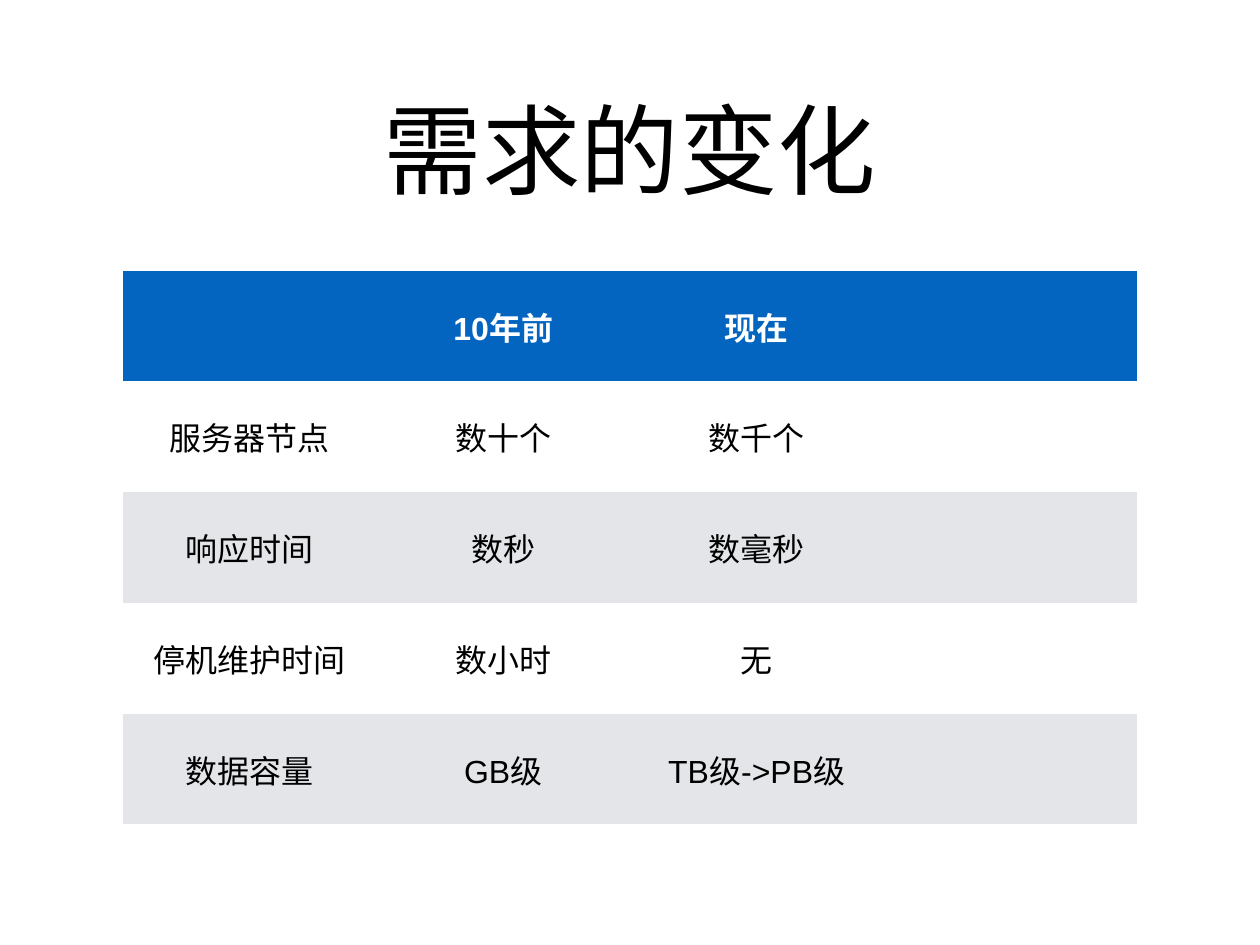
from dataclasses import dataclass

from pptx import Presentation
from pptx import util as u
from pptx.dml import color
from pptx.enum import text
from pptx.oxml import ns


@dataclass(frozen=True)
class Theme:
    """Colours, type sizes and font of the deck."""
    font: str = "Arial"
    title_size: int = 80
    cell_size: int = 26
    ink: str = "000000"
    header_ink: str = "FFFFFF"
    header_fill: str = "0365C0"
    band_fills: tuple = ("E3E5E8", "FFFFFF")
    plain_table_style: str = "{2D5ABB26-0587-4C30-8999-92F81FD0307C}"


THEME = Theme()
PAGE_SIZE = (1024, 768)
TITLE_BOX = (75, 35, 874, 170)
TABLE_BOX = (100, 220, 824, 450)
CELL_INSET = 4
TITLE = "需求的变化"
ROWS = [
    ["", "10年前", "现在", ""],
    ["服务器节点", "数十个", "数千个", ""],
    ["响应时间", "数秒", "数毫秒", ""],
    ["停机维护时间", "数小时", "无", ""],
    ["数据容量", "GB级", "TB级->PB级", ""],
]


def apply(target, values):
    """Set every attribute named in values on the target."""
    for name, value in values.items():
        setattr(target, name, value)


def insets(size):
    """Return equal margins for all four sides."""
    return {f"margin_{side}": u.Pt(size) for side in ("left", "top", "right", "bottom")}


def write(frame, words, size, ink, bold=False):
    """Put one centred line of formatted text in a text frame."""
    para = frame.paragraphs[0]
    para.alignment = text.PP_ALIGN.CENTER
    span = para.add_run()
    span.text = words
    apply(span.font, {"name": THEME.font, "size": u.Pt(size), "bold": bold})
    span.font.color.rgb = color.RGBColor.from_string(ink)


def place_title(page, box):
    """Place the slide title in the given box."""
    title = page.shapes.title
    apply(title, dict(zip(("left", "top", "width", "height"), map(u.Pt, box))))
    apply(title.text_frame, {
        "word_wrap": True,
        "auto_size": text.MSO_AUTO_SIZE.NONE,
        "vertical_anchor": text.MSO_ANCHOR.MIDDLE,
        **insets(0),
    })
    write(title.text_frame, TITLE, THEME.title_size, THEME.ink)


def place_table(page, box):
    """Fill the given box with the comparison table, banded by row."""
    frame = page.shapes.add_table(len(ROWS), len(ROWS[0]), *map(u.Pt, box))
    for style in frame.element.iter(ns.qn("a:tableStyleId")):
        style.text = THEME.plain_table_style
    for row_index, row in enumerate(ROWS):
        header = row_index == 0
        fill = THEME.header_fill if header else THEME.band_fills[row_index % 2 == 1]
        ink = THEME.header_ink if header else THEME.ink
        for column_index, words in enumerate(row):
            cell = frame.table.cell(row_index, column_index)
            cell.fill.solid()
            cell.fill.fore_color.rgb = color.RGBColor.from_string(fill)
            apply(cell, {"vertical_anchor": text.MSO_ANCHOR.MIDDLE, **insets(CELL_INSET)})
            if words:
                write(cell.text_frame, words, THEME.cell_size, ink, header)


def main():
    """Build and save the deck."""
    deck = Presentation()
    apply(deck, dict(zip(("slide_width", "slide_height"), map(u.Pt, PAGE_SIZE))))
    page = deck.slides.add_slide(deck.slide_layouts.get_by_name("Title Only"))
    place_title(page, TITLE_BOX)
    place_table(page, TABLE_BOX)
    deck.save("out.pptx")


if __name__ == "__main__":
    main()
